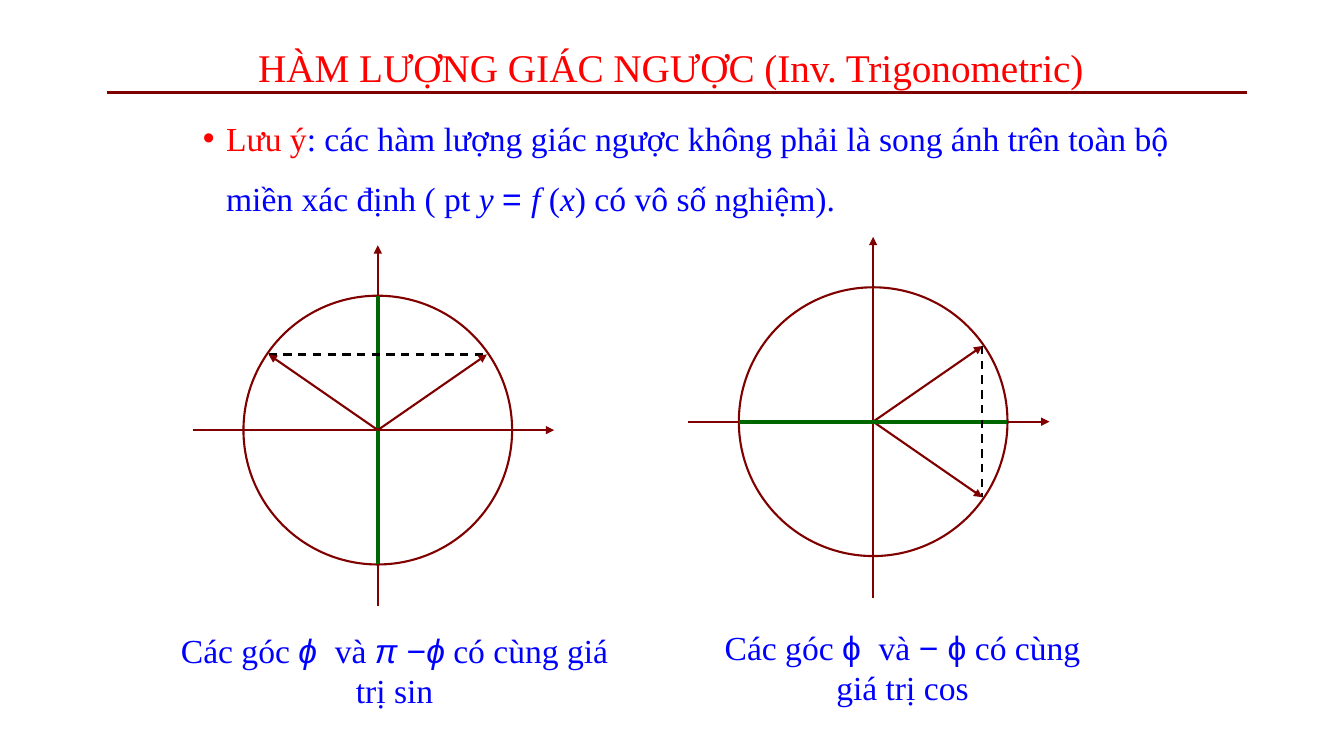
from lxml import etree
from pptx import Presentation
from pptx.dml.color import RGBColor
from pptx.enum.dml import MSO_LINE
from pptx.enum.shapes import MSO_CONNECTOR, MSO_SHAPE
from pptx.enum.text import MSO_ANCHOR, PP_ALIGN
from pptx.oxml.ns import qn
from pptx.util import Inches, Pt

STRAIGHT, OVAL = MSO_CONNECTOR.STRAIGHT, MSO_SHAPE.OVAL
DASH = MSO_LINE.DASH
TOP, MIDDLE = MSO_ANCHOR.TOP, MSO_ANCHOR.MIDDLE
LEFT, CENTER = PP_ALIGN.LEFT, PP_ALIGN.CENTER
COLORS = {"red": "FF0000", "blue": "0000FF", "maroon": "800000",
          "green": "006600", "black": "000000"}
ROMAN, ARIAL = "Times New Roman", "Arial"
CELL = 1 / 12
RADIUS = 16

ROM = {"name": ROMAN}
ITAL = {"name": ROMAN, "italic": True}
SANS = {"name": ARIAL}
SLANT = {"name": ARIAL, "italic": True}

TEXTS = [
    {"box": (26.4, 3, 107, 10), "size": 28, "color": "red",
     "anchor": MIDDLE, "align": CENTER,
     "runs": [("HÀM LƯỢNG GIÁC NGƯỢC (Inv. Trigonometric)", ROM)]},
    {"box": (23, 11, 119, 15.6), "size": 24, "color": "blue",
     "anchor": TOP, "align": LEFT, "bullet": "red", "spacing": 1.5,
     "runs": [("Lưu ý", {"name": ROMAN, "color": "red"}),
              (": các hàm lượng giác ngược không phải là song ánh "
               "trên toàn bộ miền xác định ( pt ", ROM),
              ("y ", ITAL), ("= ", SANS), ("f ", ITAL), ("(", ROM),
              ("x", ITAL), (") có vô số nghiệm).", ROM)]},
    {"box": (20, 74.4, 54, 10.8), "size": 24, "color": "blue",
     "anchor": TOP, "align": CENTER,
     "runs": [("Các góc ", ROM), ("ϕ ", SLANT), (" và ", ROM),
              ("π ", SLANT), ("−", SANS), ("ϕ", SLANT),
              (" có cùng giá trị sin", ROM)]},
    {"box": (84, 74, 47, 10.8), "size": 24, "color": "blue",
     "anchor": TOP, "align": CENTER,
     "runs": [("Các góc ", ROM), ("ϕ ", SANS), (" và ", ROM),
              ("− ϕ", SANS), (" có cùng giá trị cos", ROM)]},
]

RULE = (12.7, 11, 148.5, 11)
STYLES = {
    "rule": {"color": "maroon", "width": 2.25},
    "arrow": {"color": "maroon", "width": 1.5, "head": True},
    "range": {"color": "green", "width": 3},
    "chord": {"color": "black", "width": 1.5, "dash": DASH},
}
AXES = [("arrow", (-22, 0, 21, 0)), ("arrow", (0, 21, 0, -22))]
CIRCLES = [
    ((45, 51.2), [("range", (0, -RADIUS, 0, RADIUS)),
                  ("chord", (-13, -9, 13, -9)),
                  ("arrow", (0, 0, 13, -9)),
                  ("arrow", (0, 0, -13, -9))]),
    ((104, 50.2), [("arrow", (0, 0, 13, -9)),
                   ("arrow", (0, 0, 13, 9)),
                   ("range", (-RADIUS, 0, RADIUS, 0)),
                   ("chord", (13, -9, 13, 9))]),
]


def rgb(name):
    return RGBColor.from_string(COLORS[name])


def grid(cells):
    return [Inches(cell * CELL) for cell in cells]


def add_line(kind, ends):
    style = STYLES[kind]
    link = slide.shapes.add_connector(STRAIGHT, *grid(ends))
    link.line.color.rgb = rgb(style["color"])
    link.line.width = Pt(style["width"])
    if "dash" in style:
        link.line.dash_style = style["dash"]
    if "head" in style:
        etree.SubElement(link.line._get_or_add_ln(), qn("a:tailEnd"),
                         type="triangle")
    etree.SubElement(link._element.spPr, qn("a:effectLst"))


def add_bullet(para, color):
    props = para._p.get_or_add_pPr()
    props.set("marL", str(Inches(0.23)))
    props.set("indent", str(-Inches(0.23)))
    paint = etree.SubElement(props, qn("a:buClr"))
    etree.SubElement(paint, qn("a:srgbClr"), val=COLORS[color])
    etree.SubElement(props, qn("a:buFont"), typeface=ARIAL)
    etree.SubElement(props, qn("a:buChar"), char="•")


def add_text(item):
    frame = slide.shapes.add_textbox(*grid(item["box"])).text_frame
    frame.word_wrap = True
    frame.vertical_anchor = item["anchor"]
    para = frame.paragraphs[0]
    para.alignment = item["align"]
    if "bullet" in item:
        add_bullet(para, item["bullet"])
    if "spacing" in item:
        para.line_spacing = item["spacing"]
    for words, style in item["runs"]:
        run = para.add_run()
        run.text = words
        run.font.size = Pt(item["size"])
        run.font.color.rgb = rgb(style.get("color", item["color"]))
        for key, value in style.items():
            if key != "color":
                setattr(run.font, key, value)


def add_circle(center, lines):
    x, y = center
    ring = slide.shapes.add_shape(
        OVAL, *grid((x - RADIUS, y - RADIUS, 2 * RADIUS, 2 * RADIUS)))
    ring.shadow.inherit = False
    ring.fill.background()
    ring.line.color.rgb = rgb("maroon")
    ring.line.width = Pt(1.5)
    for kind, (x1, y1, x2, y2) in AXES + lines:
        add_line(kind, (x + x1, y + y1, x + x2, y + y2))


deck = Presentation()
deck.slide_width, deck.slide_height = Inches(13.34), Inches(7.5)
slide = deck.slides.add_slide(deck.slide_layouts[6])
add_line("rule", RULE)
for item in TEXTS:
    add_text(item)
for center, lines in CIRCLES:
    add_circle(center, lines)
deck.save("out.pptx")
